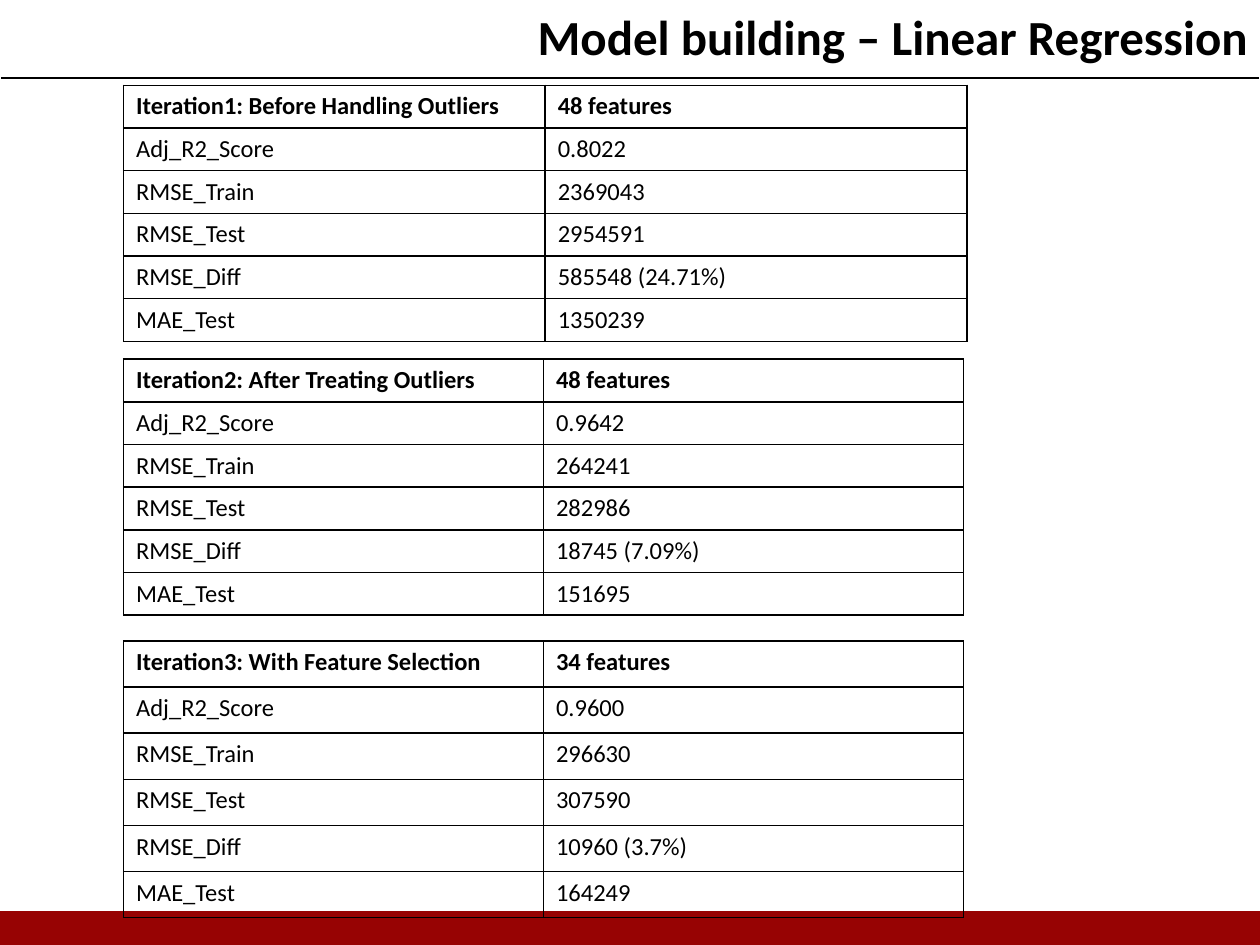
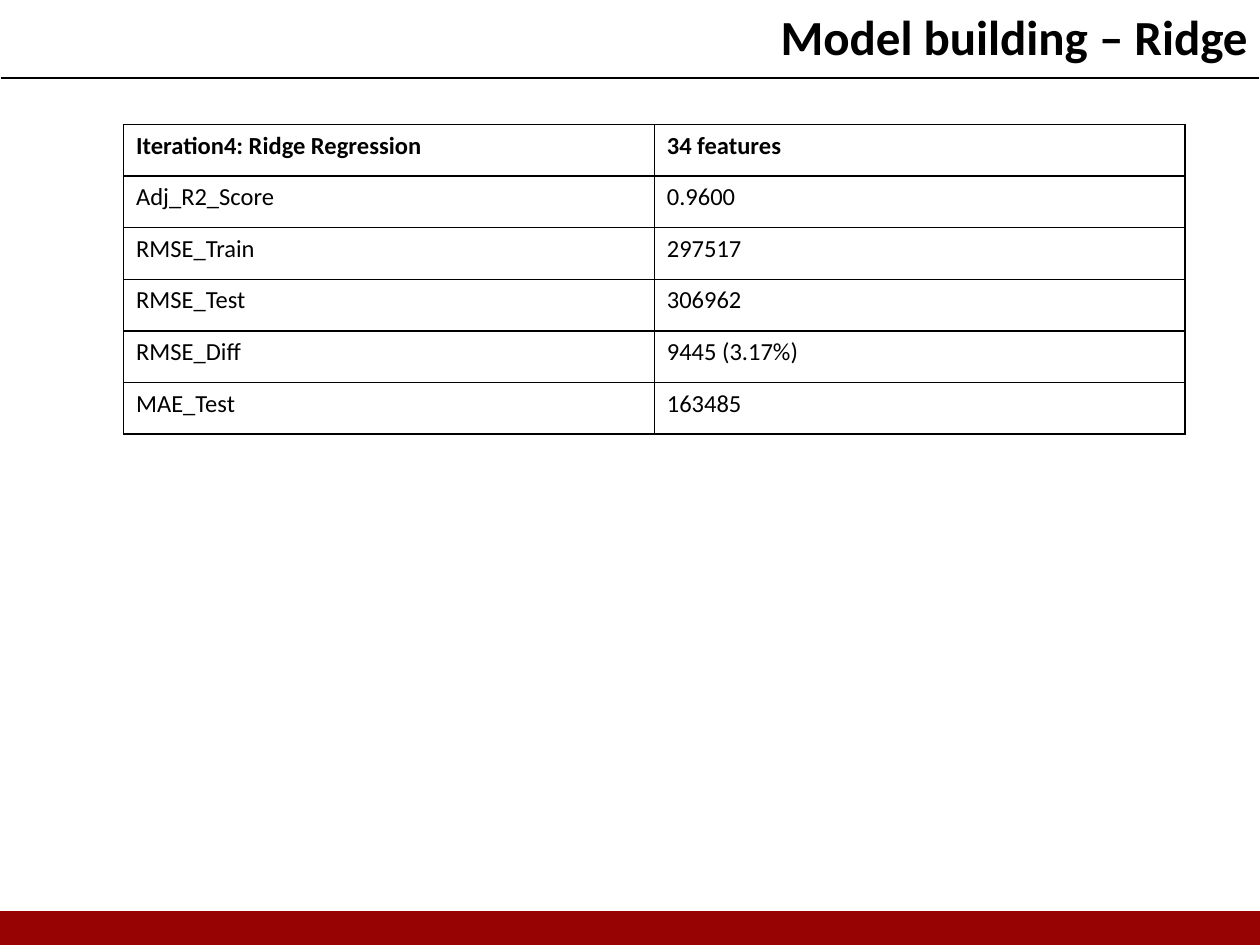
from dataclasses import dataclass

from lxml import etree
from pptx import Presentation
from pptx import util as u
from pptx.dml.color import RGBColor
from pptx.enum import shapes, text
from pptx.oxml import ns


@dataclass(frozen=True)
class Theme:
    font: str = "Calibri"
    ink: str = "000000"
    paper: str = "FFFFFF"
    band: str = "970303"
    title: int = 28
    body: int = 14
    rule: int = 1
    edge: int = 2


WIDTH, HEIGHT = 25.4, 19.05
LEFT = 2.49
LABELS = ("Adj_R2_Score", "RMSE_Train", "RMSE_Test", "RMSE_Diff", "MAE_Test")
SLIDES = (
    ("Model building – Linear Regression", (
        (("Iteration1: Before Handling Outliers", "48 features"),
         ("0.8022", "2369043", "2954591", "585548 (24.71%)", "1350239"),
         1.72, 17, 0.86),
        (("Iteration2: After Treating Outliers", "48 features"),
         ("0.9642", "264241", "282986", "18745 (7.09%)", "151695"),
         7.24, 16.93, 0.86),
        (("Iteration3: With Feature Selection", "34 features"),
         ("0.9600", "296630", "307590", "10960 (3.7%)", "164249"),
         12.92, 16.93, 0.93),
    )),
    ("Model building – Ridge", (
        (("Iteration4: Ridge Regression", "34 features"),
         ("0.9600", "297517", "306962", "9445 (3.17%)", "163485"),
         2.51, 21.4, 1.04),
    )),
)


class Deck:
    def __init__(self, theme):
        self.theme = theme
        self.show = Presentation()
        self.show.slide_width = u.Cm(WIDTH)
        self.show.slide_height = u.Cm(HEIGHT)
        self.slide = None

    def page(self, title):
        self.slide = self.show.slides.add_slide(self.show.slide_layouts[6])
        self.band()
        self.title(title)

    def band(self):
        high = 0.64
        band = self.slide.shapes.add_shape(
            shapes.MSO_SHAPE.RECTANGLE,
            u.Cm(0), u.Cm(HEIGHT - high), u.Cm(WIDTH), u.Cm(high))
        band.shadow.inherit = False
        tint = RGBColor.from_string(self.theme.band)
        band.fill.solid()
        band.fill.fore_color.rgb = tint
        band.line.color.rgb = tint
        band.line.width = u.Pt(self.theme.edge)

    def title(self, words):
        grid = self.grid(1, 1, 0, 0.05, WIDTH, 1.52)
        hues = dict.fromkeys("LRT", self.theme.paper) | {"B": self.theme.ink}
        self.cell(grid.cell(0, 0), words, hues, size=self.theme.title,
                  bold=True, align=text.PP_ALIGN.RIGHT)

    def scores(self, head, values, top, wide, step):
        rows = (head, *zip(LABELS, values))
        grid = self.grid(len(rows), len(head), LEFT, top, wide, step)
        hues = dict.fromkeys("LRTB", self.theme.ink)
        for r, row in enumerate(rows):
            for c, words in enumerate(row):
                self.cell(grid.cell(r, c), words, hues,
                          size=self.theme.body, bold=r == 0)

    def grid(self, rows, cols, left, top, wide, step):
        grid = self.slide.shapes.add_table(
            rows, cols, u.Cm(left), u.Cm(top),
            u.Cm(wide), u.Cm(step * rows)).table
        grid.first_row = grid.horz_banding = False
        return grid

    def cell(self, cell, words, hues, size, bold, align=text.PP_ALIGN.LEFT):
        cell.text = words
        cell.fill.background()
        para = cell.text_frame.paragraphs[0]
        para.alignment = align
        font = para.runs[0].font
        style = {"name": self.theme.font, "size": u.Pt(size), "bold": bold}
        for key, value in style.items():
            setattr(font, key, value)
        font.color.rgb = RGBColor.from_string(self.theme.ink)
        self.edges(cell, hues)

    def edges(self, cell, hues):
        props = cell._tc.get_or_add_tcPr()
        for spot, side in enumerate("LRTB"):
            line = etree.Element(ns.qn(f"a:ln{side}"),
                                 w=str(u.Pt(self.theme.rule)))
            fill = etree.SubElement(line, ns.qn("a:solidFill"))
            etree.SubElement(fill, ns.qn("a:srgbClr"), val=hues[side])
            props.insert(spot, line)


def main():
    deck = Deck(Theme())
    for title, tables in SLIDES:
        deck.page(title)
        for table in tables:
            deck.scores(*table)
    deck.show.save("out.pptx")


if __name__ == "__main__":
    main()
